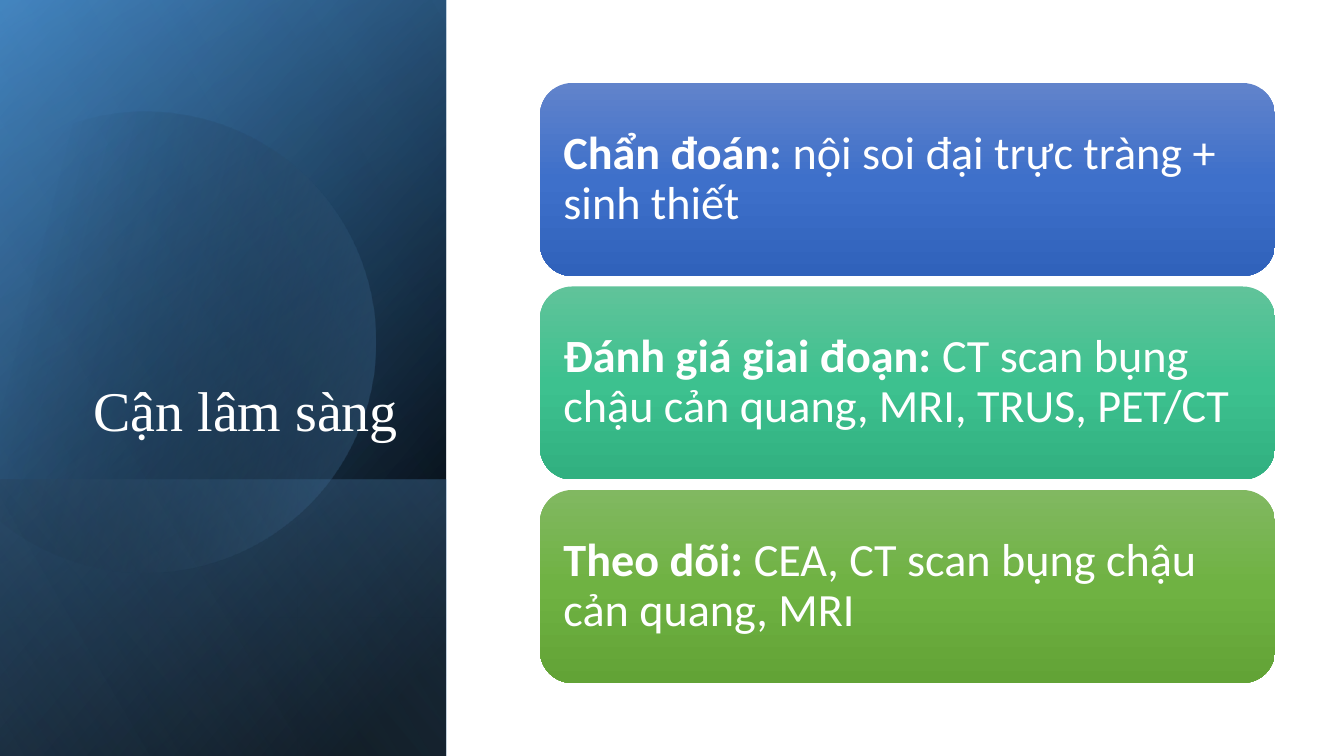
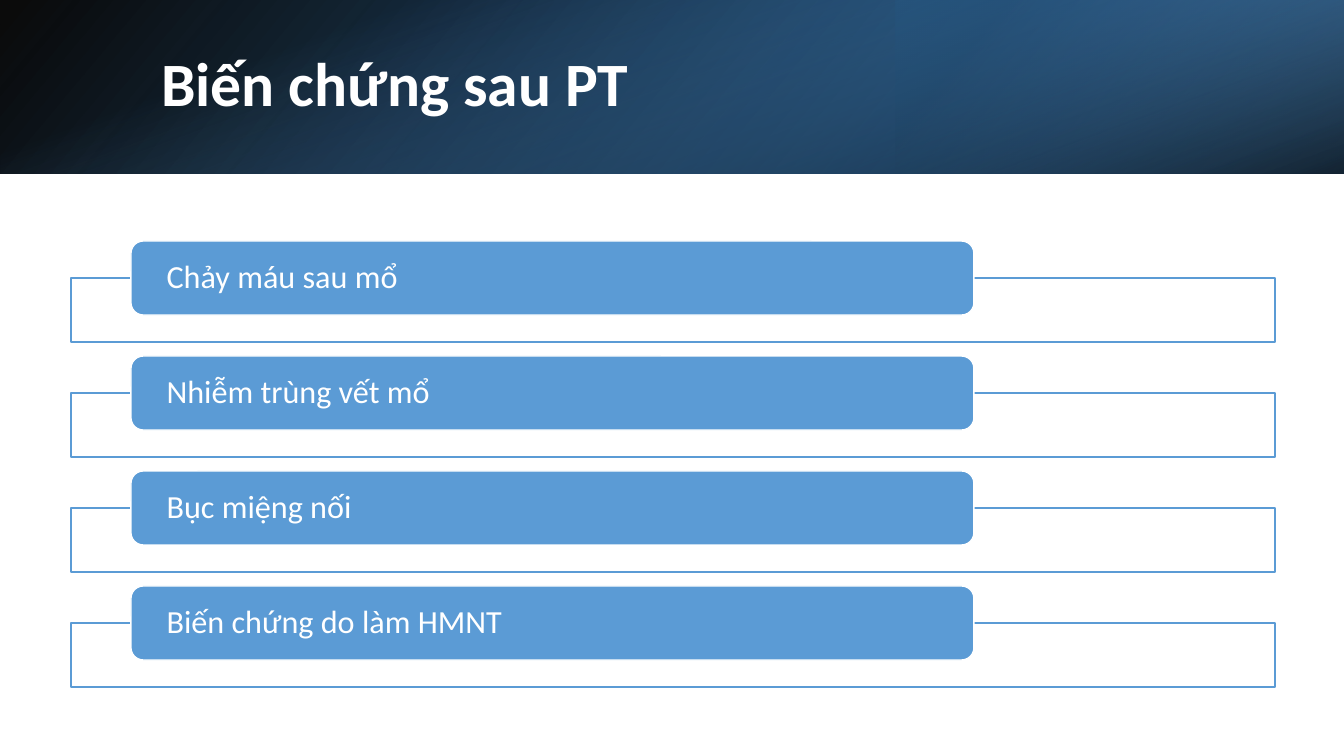
import math

import lxml.etree
import pptx
import pptx.dml.color
import pptx.enum.shapes
import pptx.enum.text
import pptx.oxml.ns
import pptx.util

SCALE = 914400 / 100.8
WIDTH, HEIGHT = 1344, 756
PANEL_WIDTH, HEADER_HEIGHT = 446, 174

BLACK, WHITE = "000000", "FFFFFF"
BLUE, DEEP_BLUE, NAVY, PALE_BLUE = "5B9BD5", "2E75B6", "1F4E79", "9DC3E6"

SHAPES = pptx.enum.shapes.MSO_SHAPE
ALIGN = pptx.enum.text.PP_ALIGN
ANCHOR = pptx.enum.text.MSO_ANCHOR
qn = pptx.oxml.ns.qn

PANEL_BANDS = [
    {"box": (0, 0, PANEL_WIDTH, HEIGHT), "angle": 50,
     "stops": [(8, BLACK, 100), (100, DEEP_BLUE, 100)]},
    {"box": (0, 0, PANEL_WIDTH, HEIGHT), "angle": 30,
     "stops": [(0, BLACK, 0), (99, BLUE, 46)]},
    {"box": (0, 480, PANEL_WIDTH, 276), "angle": 130,
     "stops": [(2, BLUE, 29), (100, BLACK, 30)]},
]
PANEL_SHEEN = {"box": (0, 0, PANEL_WIDTH, HEIGHT), "angle": 120,
               "stops": [(0, BLACK, 0), (99, PALE_BLUE, 11)]}
HEADER_BANDS = [
    {"box": (0, 0, WIDTH, HEADER_HEIGHT), "angle": 140, "rotation": 0,
     "stops": [(0, BLACK, 96), (100, DEEP_BLUE, 100)]},
    {"box": (896, 0, 448, HEADER_HEIGHT), "angle": 320, "rotation": 180,
     "stops": [(19, NAVY, 68), (100, BLUE, 79)]},
    {"box": (0, 0, WIDTH, HEADER_HEIGHT), "angle": 340, "flip": False,
     "stops": [(23, BLUE, 0), (99, BLACK, 74)]},
]
TESTS = [
    ("Chẩn đoán: ", "nội soi đại trực tràng + sinh thiết",
     ("6183CB", "3E70CA", "3062BB")),
    ("Đánh giá giai đoạn: ", "CT scan bụng chậu cản quang, MRI, TRUS, PET/CT",
     ("60C39A", "3DC18F", "31B080")),
    ("Theo dõi: ", "CEA, CT scan bụng chậu cản quang, MRI",
     ("81B861", "6FB242", "62A336")),
]
COMPLICATIONS = [
    "Chảy máu sau mổ",
    "Nhiễm trùng vết mổ",
    "Bục miệng nối",
    "Biến chứng do làm HMNT",
]


def px(length):
    return pptx.util.Emu(round(length * SCALE))


def colour(code):
    return pptx.dml.color.RGBColor.from_string(code)


def apply(target, values):
    for name, value in values.items():
        setattr(target, name, value)


def paint_gradient(shape, stops, angle):
    shape.fill.gradient()
    gradient = shape._element.spPr.find(qn("a:gradFill"))
    stop_list = gradient.find(qn("a:gsLst"))
    for old_stop in list(stop_list):
        stop_list.remove(old_stop)
    for position, code, alpha in stops:
        stop = lxml.etree.SubElement(stop_list, qn("a:gs"), pos=str(position * 1000))
        tint = lxml.etree.SubElement(stop, qn("a:srgbClr"), val=code)
        if alpha < 100:
            lxml.etree.SubElement(tint, qn("a:alpha"), val=str(alpha * 1000))
    gradient.find(qn("a:lin")).set("ang", str(angle * 60000))


def finish(shape, line=None):
    shape.shadow.inherit = False
    if line:
        shape.line.color.rgb = colour(line)
        shape.line.width = pptx.util.Pt(1)
    else:
        shape.line.fill.background()
    return shape


def add_box(slide, kind, box, line=None):
    return finish(slide.shapes.add_shape(kind, *map(px, box)), line)


def add_solid_box(slide, kind, box, fill, line):
    solid_box = add_box(slide, kind, box, line)
    solid_box.fill.solid()
    solid_box.fill.fore_color.rgb = colour(fill)
    return solid_box


def add_band(slide, box, stops, angle, rotation=90, flip=True):
    left, top, width, height = box
    if rotation == 90:
        left, top = left + (width - height) / 2, top + (height - width) / 2
        width, height = height, width
    band = add_box(slide, SHAPES.RECTANGLE, (left, top, width, height))
    band.rotation = rotation
    if flip:
        band._element.spPr.find(qn("a:xfrm")).set("flipH", "1")
    paint_gradient(band, stops, angle)


def add_cut_disc(slide):
    radius, tilt, half_arc, steps = 230.5, 16.1, 133.8, 90
    angles = [math.radians(tilt - half_arc + 2 * half_arc * step / steps)
              for step in range(steps + 1)]
    rim = [(px(radius * math.cos(a)), px(radius * math.sin(a))) for a in angles]
    outline = slide.shapes.build_freeform(*rim[0])
    outline.add_line_segments(rim[1:], close=True)
    disc = finish(outline.convert_to_shape())
    apply(disc, {"left": px(-55), "top": px(107), "rotation": 360 - tilt})
    paint_gradient(disc, [(29, BLACK, 0), (100, BLUE, 43)], 30)


def write_text(shape, runs, size, font="Calibri", align=ALIGN.LEFT,
               anchor=ANCHOR.MIDDLE, side=10, edge=5):
    frame = shape.text_frame
    apply(frame, {
        "word_wrap": True, "auto_size": pptx.enum.text.MSO_AUTO_SIZE.NONE,
        "vertical_anchor": anchor,
        "margin_left": px(side), "margin_right": px(side),
        "margin_top": px(edge), "margin_bottom": px(edge),
    })
    paragraph = frame.paragraphs[0]
    apply(paragraph, {"alignment": align, "line_spacing": 0.9})
    for text, bold in runs:
        run = paragraph.add_run()
        run.text = text
        apply(run.font, {"name": font, "size": pptx.util.Pt(size), "bold": bold})
        run.font.color.rgb = colour(WHITE)


def place_title(slide, text, box, size, bold=False, **style):
    title = slide.shapes.title
    apply(title, dict(zip(("left", "top", "width", "height"), map(px, box))))
    write_text(title, [(text, bold)], size, **style)
    slide.shapes._spTree.append(title._element)


def add_test_card(slide, top, label, detail, shades):
    card = add_box(slide, SHAPES.ROUNDED_RECTANGLE, (540, top, 735, 193))
    stops = [(index * 50, shade, 100) for index, shade in enumerate(shades)]
    paint_gradient(card, stops, 90)
    write_text(card, [(label, True), (detail, False)], 33, side=14, edge=14)


def add_complication(slide, top, text):
    add_solid_box(slide, SHAPES.RECTANGLE, (71, top + 37, 1204, 64), WHITE, BLUE)
    tab = add_solid_box(slide, SHAPES.ROUNDED_RECTANGLE, (131, top, 843, 74),
                        BLUE, WHITE)
    write_text(tab, [(text, False)], 23, side=32, edge=0)


def build_tests(slide):
    for band in PANEL_BANDS:
        add_band(slide, **band)
    add_cut_disc(slide)
    add_band(slide, **PANEL_SHEEN)
    place_title(slide, "Cận lâm sàng", (64, 185, 344, 264), 40,
                font="Times New Roman", align=ALIGN.RIGHT, anchor=ANCHOR.BOTTOM)
    for index, test in enumerate(TESTS):
        add_test_card(slide, 83 + index * 203.5, *test)


def build_complications(slide):
    for band in HEADER_BANDS:
        add_band(slide, **band)
    place_title(slide, "Biến chứng sau PT", (151, 38, 1107, 97), 44, bold=True)
    for index, complication in enumerate(COMPLICATIONS):
        add_complication(slide, 241 + index * 115, complication)


def main():
    deck = pptx.Presentation()
    apply(deck, {"slide_width": px(WIDTH), "slide_height": px(HEIGHT)})
    title_only = deck.slide_layouts[5]
    for build in (build_tests, build_complications):
        build(deck.slides.add_slide(title_only))
    deck.save("out.pptx")


if __name__ == "__main__":
    main()
